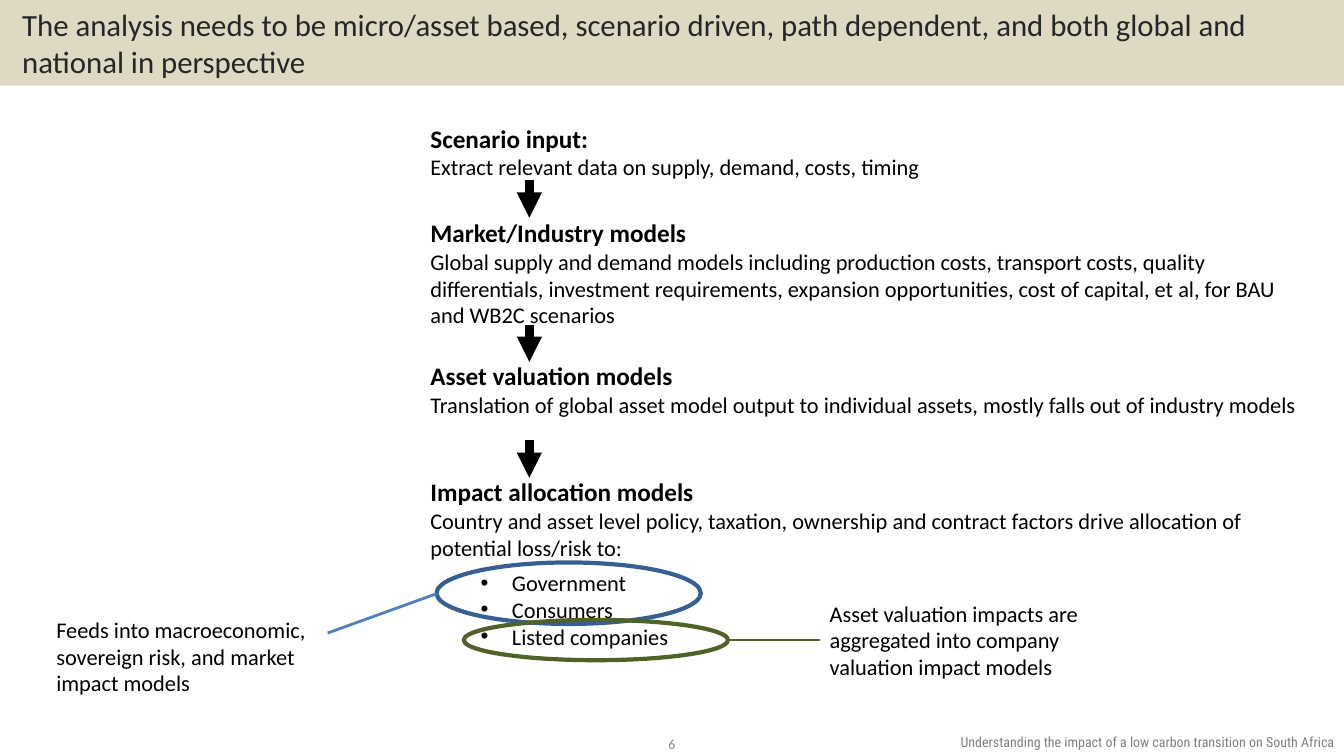
import pptx
import pptx.dml.color
import pptx.enum.shapes
import pptx.enum.text
import pptx.oxml.ns
import pptx.util
from lxml import etree
from pptx.util import Inches

ALIGN = pptx.enum.text.PP_ALIGN
ANCHOR = pptx.enum.text.MSO_ANCHOR
TITLE = ("The analysis needs to be micro/asset based, scenario driven, path dependent, "
         "and both global and national in perspective")
STEPS = [
    (1.17, 5.52, 0.67, "Scenario input:",
     "Extract relevant data on supply, demand, costs, timing", []),
    (2.11, 8.75, 1.21, "Market/Industry models",
     "Global supply and demand models including production costs, transport costs, quality "
     "differentials, investment requirements, expansion opportunities, cost of capital, et al, "
     "for BAU and WB2C scenarios", []),
    (3.53, 8.83, 0.94, "Asset valuation models",
     "Translation of global asset model output to individual assets, "
     "mostly falls out of industry models", []),
    (4.68, 8.83, 1.83, "Impact allocation models",
     "Country and asset level policy, taxation, ownership and contract factors "
     "drive allocation of potential loss/risk to:",
     ["Government", "Consumers", "Listed companies"]),
]
ARROW_X = 5.25
ARROW_TOPS = [1.79, 3.22, 4.37]
ARROW_LENGTH = 0.37


def color(value):
    return pptx.dml.color.RGBColor.from_string(value)


def add_xml(parent, tag, **attributes):
    return etree.SubElement(parent, pptx.oxml.ns.qn(tag), attributes)


def place(shape, left, top, width, height):
    shape.left, shape.top = Inches(left), Inches(top)
    shape.width, shape.height = Inches(width), Inches(height)


def format_paragraph(paragraph, size, font_color="000000", bold=False,
                     font="Calibri", align=ALIGN.LEFT):
    paragraph.alignment = align
    for run in paragraph.runs:
        run.font.size = pptx.util.Pt(size)
        run.font.name = font
        run.font.bold = bold
        run.font.color.rgb = color(font_color)


def set_indent(paragraph, margin, indent):
    properties = paragraph._p.get_or_add_pPr()
    properties.set("marL", str(Inches(margin)))
    properties.set("indent", str(Inches(indent)))
    return properties


def add_text(slide, left, top, width, height, text, size=16, anchor=ANCHOR.TOP, **style):
    shape = slide.shapes.add_textbox(
        Inches(left), Inches(top), Inches(width), Inches(height))
    frame = shape.text_frame
    frame.word_wrap = True
    frame.vertical_anchor = anchor
    frame.text = text
    for paragraph in frame.paragraphs:
        format_paragraph(paragraph, size, **style)
    return frame


def add_step(slide, top, width, height, heading, description, recipients):
    lines = [heading, description] + recipients
    frame = add_text(slide, 4.17, top, width, height, "\n".join(lines))
    paragraphs = frame.paragraphs
    format_paragraph(paragraphs[0], 18, bold=True)
    if recipients:
        paragraphs[1].space_after = pptx.util.Pt(6)
    for paragraph in paragraphs[2:]:
        paragraph.level = 1
        properties = set_indent(paragraph, 0.81, -0.31)
        add_xml(properties, "a:buFont", typeface="Arial")
        add_xml(properties, "a:buChar", char="•")


def add_ring(slide, left, top, width, height, line_color):
    shape = slide.shapes.add_shape(
        pptx.enum.shapes.MSO_SHAPE.OVAL,
        Inches(left), Inches(top), Inches(width), Inches(height))
    shape.shadow.inherit = False
    shape.fill.background()
    shape.line.color.rgb = color(line_color)
    shape.line.width = pptx.util.Pt(3)


def add_line(slide, start, end, line_color, width, arrow=False):
    connector = slide.shapes.add_connector(
        pptx.enum.shapes.MSO_CONNECTOR.STRAIGHT,
        Inches(start[0]), Inches(start[1]), Inches(end[0]), Inches(end[1]))
    connector.line.color.rgb = color(line_color)
    connector.line.width = pptx.util.Pt(width)
    if arrow:
        add_xml(connector.line._get_or_add_ln(), "a:tailEnd", type="triangle")
    add_xml(connector._element.spPr, "a:effectLst")


def set_title(slide):
    title = slide.shapes.title
    place(title, 0, 0, 13.33, 0.85)
    title.fill.solid()
    title.fill.fore_color.rgb = color("DDD9C3")
    frame = title.text_frame
    frame.text = TITLE
    frame.word_wrap = True
    frame.auto_size = pptx.enum.text.MSO_AUTO_SIZE.NONE
    frame.vertical_anchor = ANCHOR.MIDDLE
    format_paragraph(frame.paragraphs[0], 22, "262626")
    set_indent(frame.paragraphs[0], 0.12, 0)


def main():
    presentation = pptx.Presentation()
    presentation.slide_width = Inches(13.33)
    presentation.slide_height = Inches(7.5)
    slide = presentation.slides.add_slide(presentation.slide_layouts[5])
    set_title(slide)
    for step in STEPS:
        add_step(slide, *step)
    add_ring(slide, 4.33, 5.58, 2.62, 0.61, "376092")
    add_ring(slide, 4.6, 6.15, 2.62, 0.4, "4F6228")
    add_line(slide, (4.33, 5.89), (3.25, 6.28), "4F81BD", 2)
    add_line(slide, (8.13, 6.35), (7.22, 6.35), "4F6228", 2)
    for top in ARROW_TOPS:
        add_line(slide, (ARROW_X, top), (ARROW_X, top + ARROW_LENGTH), "000000", 6, arrow=True)
    add_text(slide, 0.46, 6.06, 3.05, 0.91,
             "Feeds into macroeconomic, sovereign risk, and market impact models")
    add_text(slide, 8.13, 5.9, 3.29, 0.91,
             "Asset valuation impacts are aggregated into company valuation impact models")
    add_text(slide, 8, 7.23, 5.33, 0.27,
             "Understanding the impact of a low carbon transition on South Africa",
             size=10, font_color="808080", font="Roboto Condensed", align=ALIGN.RIGHT)
    add_text(slide, 5.11, 7.27, 3.11, 0.23, "6", size=10, anchor=ANCHOR.MIDDLE,
             font_color="8C8C8C", align=ALIGN.CENTER)
    presentation.save("out.pptx")


if __name__ == "__main__":
    main()
